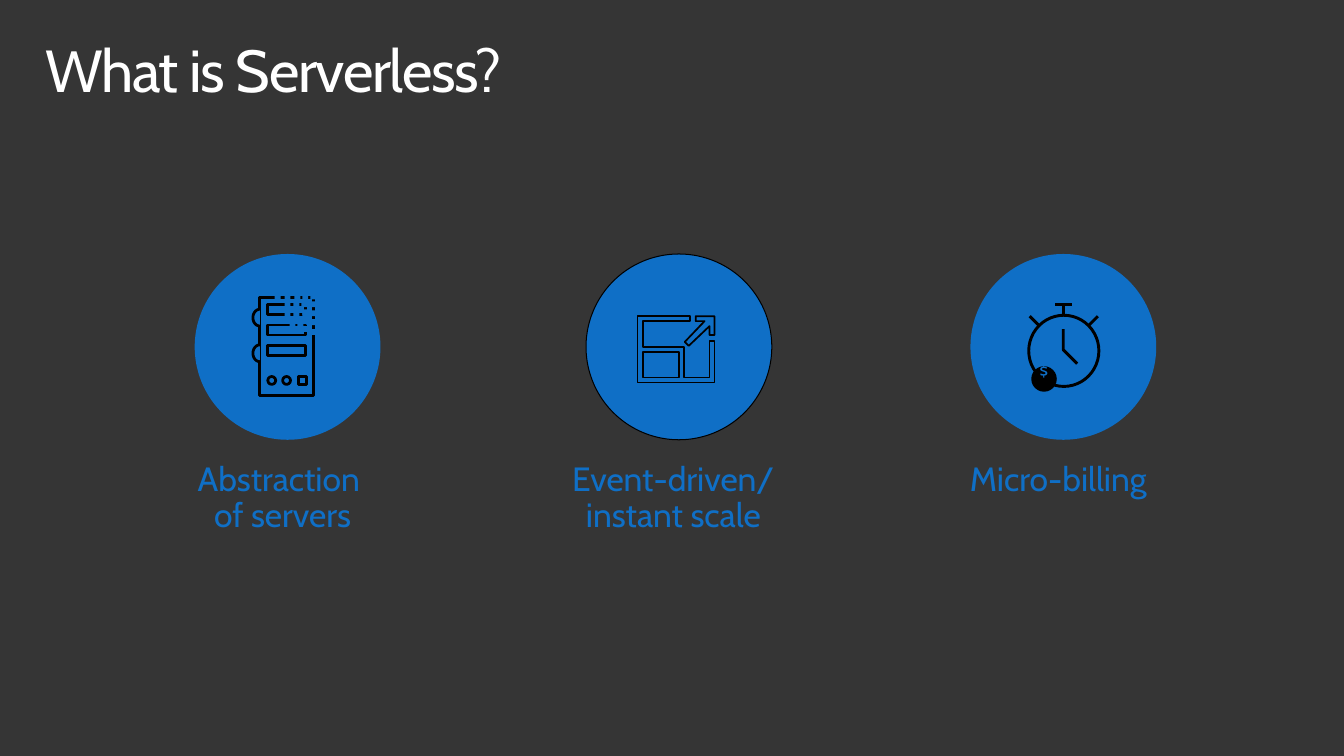
import math
from dataclasses import dataclass
from typing import Any

from lxml import etree
from pptx import Presentation
from pptx import util as u
from pptx.dml.color import RGBColor
from pptx.enum import shapes, text
from pptx.oxml import ns

# Page grid: one column or row is a hundredth of an inch
WIDTH, HEIGHT = u.Inches(13.6), u.Inches(7.65)
COLUMNS, ROWS = 1360, 765

CHARCOAL = RGBColor(0x35, 0x35, 0x35)
BLUE = RGBColor(0x0F, 0x6F, 0xC6)
BLACK = RGBColor(0x00, 0x00, 0x00)
WHITE = RGBColor(0xFF, 0xFF, 0xFF)

OVAL, RECTANGLE = shapes.MSO_SHAPE.OVAL, shapes.MSO_SHAPE.RECTANGLE
BADGE_ROW, BADGE_SIZE = 257, 188
CLOCK_WEIGHT, SERVER_WEIGHT, SCALE_WEIGHT = 2.13, 2, 1.25

Point = tuple[float, float]


@dataclass
class Block:
    """A preset shape on the page grid; a weight of 0 means no outline."""
    kind: shapes.MSO_SHAPE
    column: float
    row: float
    columns: float
    rows: float
    fill: RGBColor | None = BLUE
    weight: float = 0


@dataclass
class Label:
    words: str
    column: float
    row: float
    columns: float
    rows: float
    size: float
    color: RGBColor = BLUE
    insets: tuple[float, float, float, float] = (10, 16, 20, 16)
    align: text.PP_ALIGN = text.PP_ALIGN.CENTER
    space_after: float = 12.2
    wrap: bool = True
    fit: text.MSO_AUTO_SIZE = text.MSO_AUTO_SIZE.SHAPE_TO_FIT_TEXT
    tracking: float = 0


def across(columns: float) -> u.Emu:
    return u.Emu(round(WIDTH * columns / COLUMNS))


def down(rows: float) -> u.Emu:
    return u.Emu(round(HEIGHT * rows / ROWS))


def place(points: list[Point]) -> list[tuple[u.Emu, u.Emu]]:
    return [(across(column), down(row)) for column, row in points]


def apply(target: Any, values: dict[str, Any]) -> None:
    for name, value in values.items():
        setattr(target, name, value)


def paint(shape: Any, fill: RGBColor | None, weight: float) -> None:
    shape.shadow.inherit = False
    for format_, color in ((shape.fill, fill), (shape.line.fill, BLACK if weight else None)):
        if color is None:
            format_.background()
        else:
            format_.solid()
            format_.fore_color.rgb = color
    if weight:
        shape.line.width = u.Pt(weight)


def draw_block(parent: Any, block: Block) -> None:
    shape = parent.add_shape(block.kind, across(block.column), down(block.row),
                             across(block.columns), down(block.rows))
    paint(shape, block.fill, block.weight)


def draw_outline(parent: Any, contours: list[list[Point]], fill: RGBColor | None,
                 weight: float, close: bool = True) -> None:
    first, *others = [place(contour) for contour in contours]
    builder = parent.build_freeform(*first[0])
    builder.add_line_segments(first[1:], close=close)
    for contour in others:
        builder.move_to(*contour[0])
        builder.add_line_segments(contour[1:], close=close)
    paint(builder.convert_to_shape(), fill, weight)


def draw_line(parent: Any, start: Point, end: Point) -> None:
    (begin, finish) = place([start, end])
    line = parent.add_connector(shapes.MSO_CONNECTOR.STRAIGHT, *begin, *finish)
    line.line.color.rgb = BLACK
    line.line.width = u.Pt(CLOCK_WEIGHT)
    etree.SubElement(line._element.spPr, ns.qn("a:effectLst"))


def draw_label(parent: Any, label: Label) -> None:
    box = parent.add_textbox(across(label.column), down(label.row),
                             across(label.columns), down(label.rows))
    left, top, right, bottom = label.insets
    apply(box.text_frame, {
        "word_wrap": label.wrap, "auto_size": label.fit,
        "margin_left": across(left), "margin_top": down(top),
        "margin_right": across(right), "margin_bottom": down(bottom),
    })
    para = box.text_frame.paragraphs[0]
    para.text = label.words
    apply(para, {"alignment": label.align, "line_spacing": 0.9,
                 "space_after": u.Pt(label.space_after)})
    for span in para.runs:
        apply(span.font, {"name": "Cabin", "size": u.Pt(label.size)})
        span.font.color.rgb = label.color
        if label.tracking:
            span._r.get_or_add_rPr().set("spc", str(round(label.tracking * 100)))


def add_badge(page: Any, column: float, weight: float = 0) -> Any:
    group = page.shapes.add_group_shape().shapes
    draw_block(group, Block(OVAL, column, BADGE_ROW, BADGE_SIZE, BADGE_SIZE, weight=weight))
    return group


def draw_server(page: Any) -> None:
    group = add_badge(page, 197)
    case = Block(RECTANGLE, 263, 301, 54, 99, weight=SERVER_WEIGHT)
    bays = [Block(RECTANGLE, 271, 308 + 21 * bay, 38, 10, weight=SERVER_WEIGHT)
            for bay in range(3)]
    buttons = [Block(kind, column, 381, 8, 8, weight=SERVER_WEIGHT)
               for kind, column in ((OVAL, 271), (OVAL, 286), (RECTANGLE, 302))]
    for block in [case, *bays, *buttons]:
        draw_block(group, block)

    # Half-round handles on the left side
    for middle in (321.5, 357.5):
        angles = [math.radians(90 + 10 * step) for step in range(19)]
        arc = [(263 + 7 * math.cos(angle), middle + 8.5 * math.sin(angle)) for angle in angles]
        draw_outline(group, [arc], BLUE, SERVER_WEIGHT, close=False)

    # Squares that dissolve the top right corner
    pixels = [(278, 298), (288, 297), (298, 297), (306, 297), (314, 297), (288, 304),
              (297, 304), (305, 305), (315, 305), (306, 313), (306, 315), (315, 314),
              (288, 316), (297, 315), (314, 323), (314, 333), (293, 326), (301, 326),
              (306, 330)]
    for column, row in pixels:
        draw_block(group, Block(RECTANGLE, column, row, 6, 6))


def draw_scale(page: Any) -> None:
    group = add_badge(page, 593, weight=0.75)
    frame = [(718, 382), (692, 382), (692, 351), (651, 351), (651, 325), (698, 325),
             (698, 320), (645, 320), (645, 387), (723, 387), (723, 345), (718, 345)]
    pane = [(651, 356), (687, 356), (687, 382), (651, 382)]
    arrow = [(704, 325), (713, 325), (693, 346), (697, 350), (718, 330), (718, 339),
             (723, 339), (723, 320), (704, 320)]
    for contours in ([frame, pane], [arrow]):
        draw_outline(group, contours, BLUE, SCALE_WEIGHT)


def draw_clock(page: Any) -> None:
    group = add_badge(page, 982)
    hands = [(1076, 333), (1076, 354), (1090, 368)]
    draw_outline(group, [hands], None, CLOCK_WEIGHT, close=False)
    draw_block(group, Block(OVAL, 1041, 319, 71, 72, None, CLOCK_WEIGHT))
    for start, end in (((1068, 308), (1085, 308)), ((1076, 319), (1076, 308)),
                       ((1111, 320), (1101, 330)), ((1042, 320), (1052, 330))):
        draw_line(group, start, end)
    draw_block(group, Block(OVAL, 1045, 372, 23, 23, BLACK, 2))
    draw_label(group, Label("$", 1032, 359, 50, 50, 12, insets=(20, 16, 20, 16),
                            align=text.PP_ALIGN.LEFT, space_after=6, wrap=False))


def main() -> None:
    deck = Presentation()
    apply(deck, {"slide_width": WIDTH, "slide_height": HEIGHT})
    page = deck.slides.add_slide(deck.slide_layouts[6])
    page.background.fill.solid()
    page.background.fill.fore_color.rgb = CHARCOAL

    # Title and captions
    labels = [
        Label("What is Serverless?", 30, 32, 1300, 100, 43.2, WHITE, (16, 10, 16, 10),
              text.PP_ALIGN.LEFT, 0, fit=text.MSO_AUTO_SIZE.NONE, tracking=-1),
        Label("Abstraction \vof servers", 147, 452, 288, 109, 24.5),
        Label("Event-driven/ instant scale", 538, 452, 297, 109, 24.5),
        Label("Micro-billing", 939, 452, 274, 72, 24.5),
    ]
    for label in labels:
        draw_label(page.shapes, label)

    # Badges
    for draw in (draw_server, draw_scale, draw_clock):
        draw(page)
    deck.save("out.pptx")


if __name__ == "__main__":
    main()
